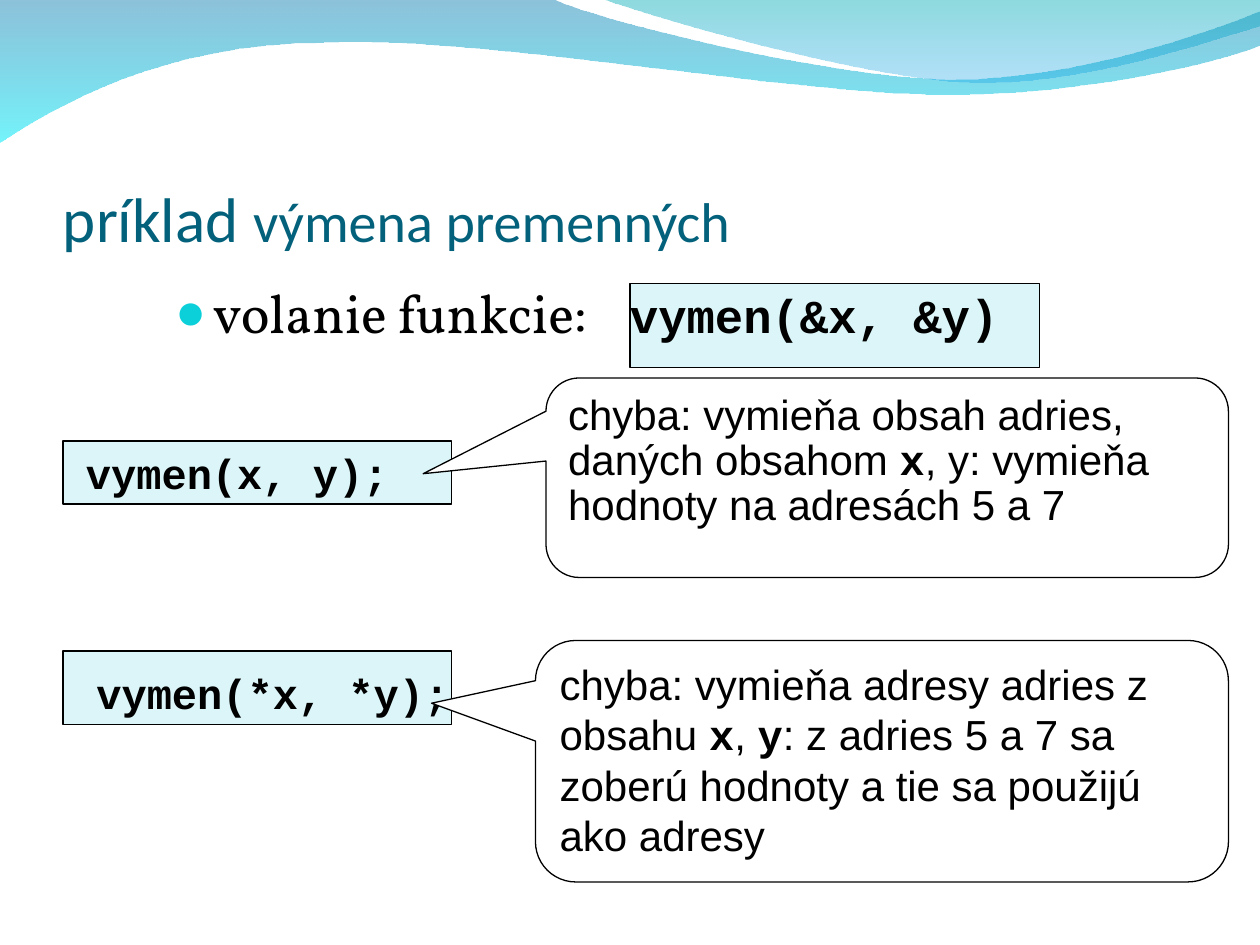
"""Slide on swapping variables: the right call and two faulty ones."""
from lxml.etree import SubElement
from pptx import Presentation
from pptx.dml.color import RGBColor
from pptx.enum.shapes import MSO_SHAPE as Shape
from pptx.enum.text import MSO_ANCHOR as Anchor, PP_ALIGN as Align
from pptx.oxml.ns import qn
from pptx.util import Inches, Pt

BLACK = RGBColor(0x00, 0x00, 0x00)
WHITE = RGBColor(0xFF, 0xFF, 0xFF)
PALE = RGBColor(0xDB, 0xF5, 0xF9)
TEAL = RGBColor(0x04, 0x61, 0x7B)
BULLET = RGBColor(0x0B, 0xD0, 0xD9)
DEEP_BLUE = RGBColor(0x00, 0x79, 0xAF)
CYAN = RGBColor(0x00, 0xEB, 0xF8)
SEA_GREEN = RGBColor(0x00, 0xAD, 0xB6)
SKY = RGBColor(0x00, 0x9B, 0xE5)
SANS, MONO = "Arial", "Courier New"

deck = Presentation()
deck.slide_width, deck.slide_height = Inches(10), Inches(7.5)
COL, ROW = deck.slide_width / 120, deck.slide_height / 90
slide = deck.slides.add_slide(deck.slide_layouts[6])


def place(cells, preset=None, fill=None):
    left, top, width, height = cells
    area = [round(n) for n in (left * COL, top * ROW, width * COL, height * ROW)]
    if preset is None:
        return slide.shapes.add_textbox(*area)
    panel = slide.shapes.add_shape(preset, *area)
    panel.shadow.inherit = False
    panel.fill.solid()
    panel.fill.fore_color.rgb = fill
    panel.line.color.rgb = BLACK
    panel.line.width = Pt(0.75)
    return panel


def write(holder, runs, color=BLACK):
    frame = holder.text_frame
    frame.word_wrap = True
    frame.vertical_anchor = Anchor.TOP
    line = frame.paragraphs[0]
    line.alignment = Align.LEFT
    for words, font, size in runs:
        run = line.add_run()
        run.text = words
        run.font.name, run.font.size = font, Pt(size)
        run.font.bold = font == MONO
        run.font.color.rgb = color
    return frame


waves = [
    ([[(0, 0)], [(4.4, 0)],
      [(4.76, 0.17), (6.64, 0.63), (7.58, 0.63)],
      [(8.53, 0.63), (9.58, 0.26), (10, 0.09)], [(10, 0.36)],
      [(9.83, 0.44), (8.7, 0.76), (7.46, 0.75)],
      [(6.22, 0.75), (3.82, 0.28), (2.57, 0.34)],
      [(1.29, 0.35), (0.46, 0.83), (0, 1.13)]],
     [(DEEP_BLUE, 45), (CYAN, 55)]),
    ([[(4.79, 0)],
      [(5.09, 0.11), (6.82, 0.62), (7.69, 0.65)],
      [(8.56, 0.69), (9.61, 0.32), (10, 0.21)], [(10, 0)]],
     [(SEA_GREEN, 45), (SKY, 30)]),
]
for segments, tints in waves:
    corners = [(Inches(x), Inches(y)) for x, y in (segment[-1] for segment in segments)]
    builder = slide.shapes.build_freeform(*corners[0])
    builder.add_line_segments(corners[1:])
    wave = builder.convert_to_shape()
    edges = list(wave.element.spPr.iter(qn("a:lnTo")))
    for edge, segment in zip(edges, segments[1:]):
        if len(segment) == 3:
            curve = SubElement(edge.getparent(), qn("a:cubicBezTo"))
            for x, y in segment:
                SubElement(curve, qn("a:pt"), x=str(Inches(x) - wave.left),
                           y=str(Inches(y) - wave.top))
            edge.getparent().replace(edge, curve)
    wave.shadow.inherit = False
    wave.line.fill.background()
    wave.fill.gradient()
    wave.fill.gradient_angle = 270
    for stop, share, (tint, opacity) in zip(wave.fill.gradient_stops, (0, 1), tints):
        stop.position = share
        stop.color.rgb = tint
    for rgb, (tint, opacity) in zip(wave.element.spPr.iter(qn("a:srgbClr")), tints):
        SubElement(rgb, qn("a:alpha"), val=str(opacity * 1000))

for panel_cells in [(60, 27, 39, 8), (6, 42, 37, 6)]:
    place(panel_cells, Shape.RECTANGLE, PALE)

title = write(place((6, 9.25, 108, 15)),
              [("príklad ", "Calibri", 36), ("výmena premenných", "Calibri", 32)], TEAL)
title.margin_left = title.margin_right = title.margin_bottom = 0
title.vertical_anchor = Anchor.BOTTOM

call = place((15.5, 26, 99.25, 10))
call_format = call.text_frame.paragraphs[0]._p.get_or_add_pPr()
call_format.set("marL", str(Inches(0.3)))
call_format.set("indent", str(-Inches(0.3)))
SubElement(SubElement(call_format, qn("a:buClr")), qn("a:srgbClr"), val=str(BULLET))
SubElement(call_format, qn("a:buSzPct"), val="95000")
SubElement(call_format, qn("a:buFont"), typeface=SANS)
SubElement(call_format, qn("a:buChar"), char="●")
SubElement(SubElement(call_format, qn("a:tabLst")), qn("a:tab"),
           pos=str(Inches(3.61)), algn="l")
write(call, [("volanie funkcie:\t", "Vollkorn", 31), ("vymen(&x, &y)", MONO, 27)])

write(place((7, 42, 32, 6)), [("vymen(x, y);", MONO, 24)])
place((6, 62, 37, 7), Shape.RECTANGLE, PALE)
write(place((8, 63, 36, 6)), [("vymen(*x, *y);", MONO, 24)])

faults = [
    ((52, 36, 65, 19), (-0.68, -0.02), 0.9,
     [("chyba: vymieňa obsah adries, daných obsahom ", SANS), ("x", MONO),
      (", y: vymieňa hodnoty na adresách 5 a 7", SANS)]),
    ((51, 61, 66, 23), (-0.65, -0.24), 1.0,
     [("chyba: vymieňa adresy adries z obsahu ", SANS), ("x", MONO), (", ", SANS),
      ("y", MONO), (": z adries 5 a 7 sa zoberú hodnoty a tie sa použijú ako adresy", SANS)]),
]
for cells, tip, spacing, words in faults:
    callout = place(cells, Shape.ROUNDED_RECTANGULAR_CALLOUT, WHITE)
    callout.adjustments[0], callout.adjustments[1] = tip
    note = write(callout, [(text, font, 24) for text, font in words])
    note.paragraphs[0].line_spacing = spacing

deck.save("out.pptx")
